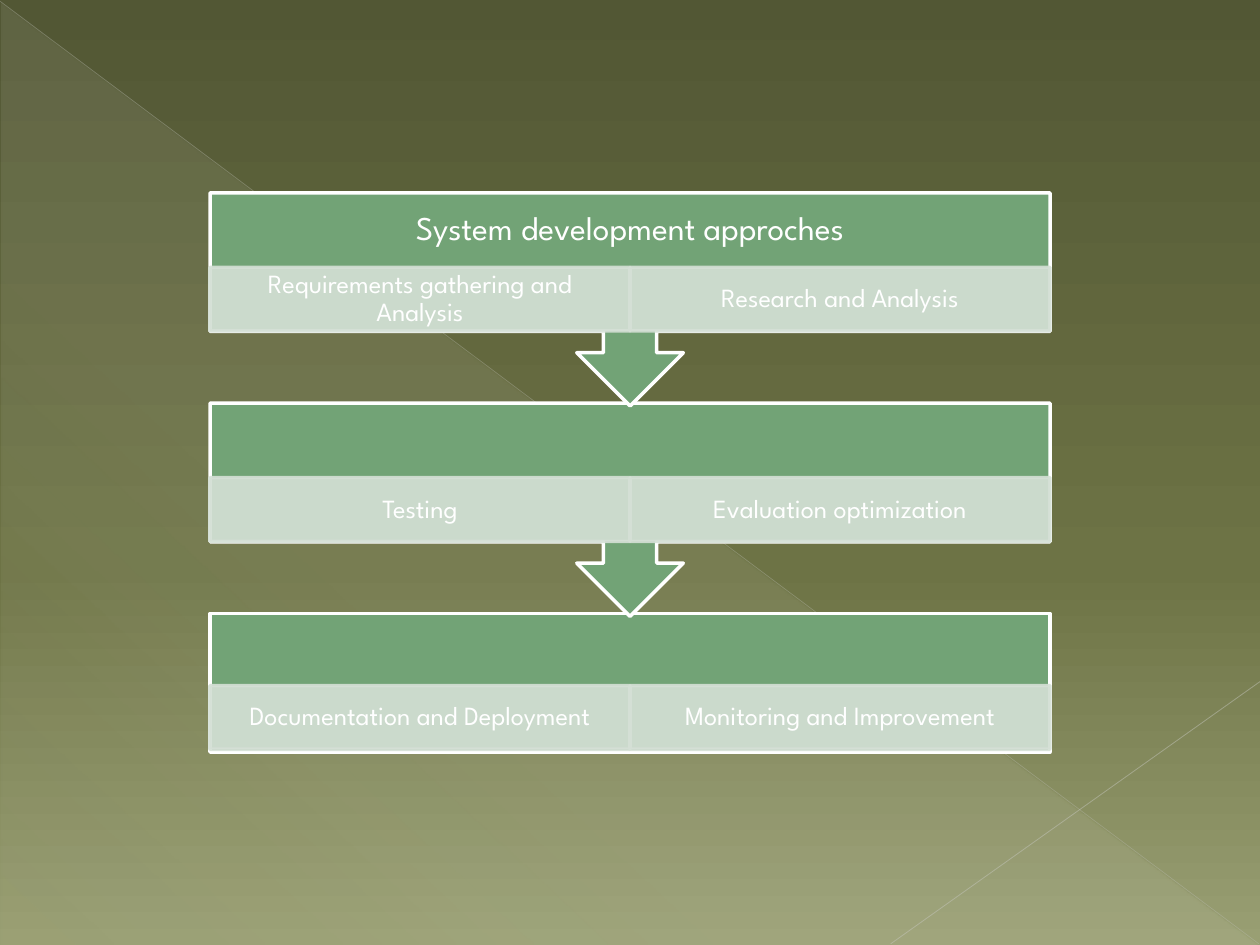
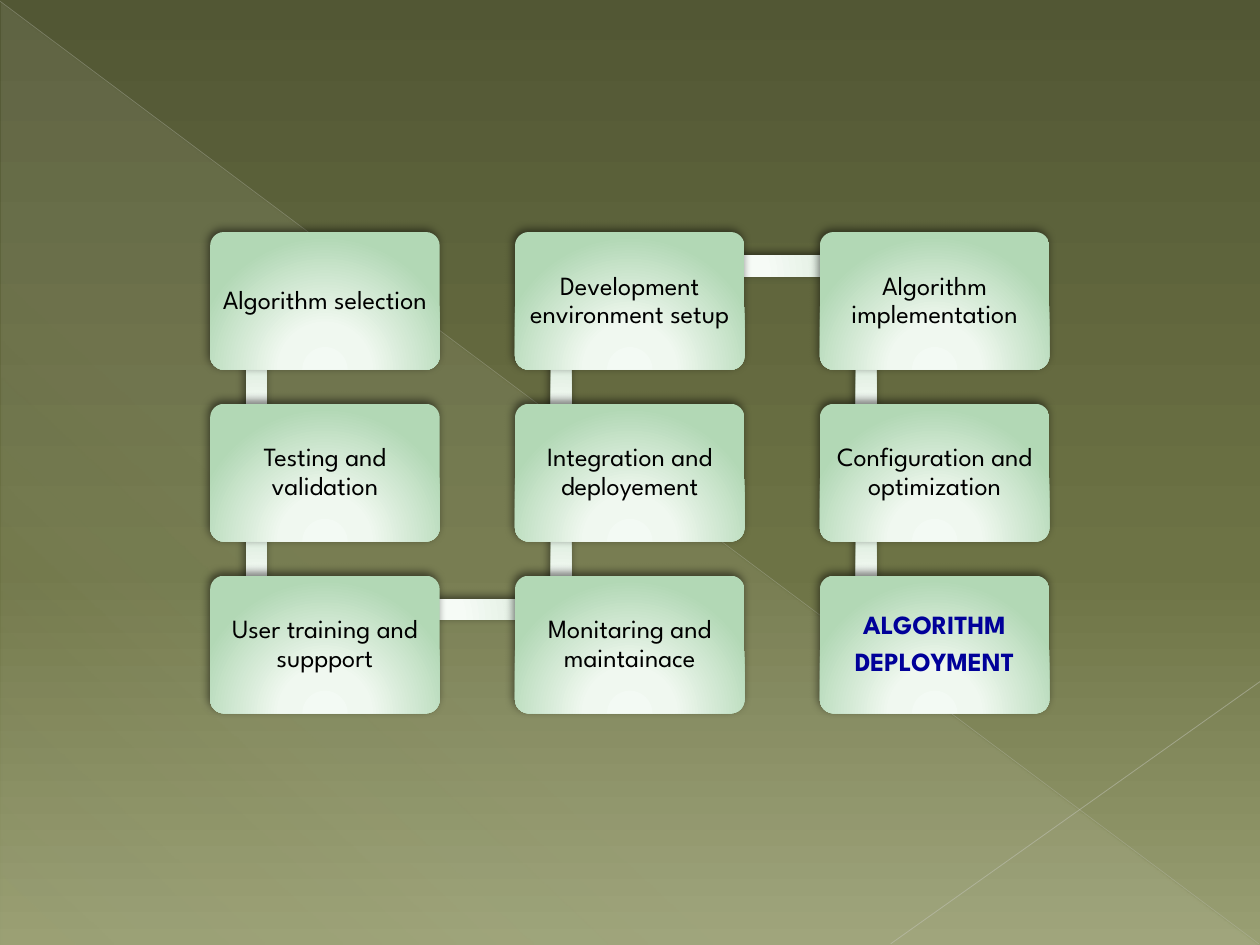
from dataclasses import dataclass
from math import atan2, degrees, hypot

from lxml import etree
from pptx import Presentation
from pptx.dml.color import RGBColor
from pptx.enum import shapes, text
from pptx.oxml import ns, parse_xml
from pptx.util import Pt

KIND = shapes.MSO_SHAPE
LINEAR = '<a:lin ang="{}" scaled="0"/>'
GLOW = ('<a:path path="circle"><a:fillToRect l="50000" t="155000" '
        'r="50000" b="-55000"/></a:path>')


@dataclass(frozen=True)
class Theme:
    font: str = "League Spartan"
    head: int = 19
    body: int = 15
    white: str = "FFFFFF"
    black: str = "000000"
    navy: str = "000099"
    green: str = "72A376"
    pale: str = "D5E0D6"
    ground: tuple = ((0, "525734", 100), (60, "6D7345", 100), (100, "999F73", 100))
    sheen: tuple = ((0, "EAEBDE", 10), (70, "EAEBDE", 8), (100, "EAEBDE", 1))
    card: tuple = ((0, "F3FAF4", 100), (34, "F0F8F0", 100), (100, "B2D8B5", 100))
    link: tuple = ((0, "F8FCF8", 100), (34, "F6FBF6", 100), (100, "D5E8D6", 100))
    # start x, start y, end x, end y, colour, width, opacity
    rays: tuple = ((0, 0.7, 719.3, 539.3, "C1C3B9", 0.39, 35),
                   (720, 389.5, 509, 539.3, "C8C9C1", 0.47, 45))


def fade(props, alpha):
    """Set the opacity, in percent, of every colour below props."""
    for clr in props.iter(ns.qn("a:srgbClr")):
        etree.SubElement(clr, ns.qn("a:alpha")).set("val", str(alpha * 1000))


def blend(fill, root, stops, way):
    """Give fill, the only gradient below root, these stops and direction."""
    fill.gradient()
    old = next(root.iter(ns.qn("a:gradFill")))
    marks = "".join(
        f'<a:gs pos="{pos * 1000}"><a:srgbClr val="{clr}">'
        f'<a:alpha val="{alpha * 1000}"/></a:srgbClr></a:gs>'
        for pos, clr, alpha in stops)
    new = parse_xml(f'<a:gradFill {ns.nsdecls("a")} rotWithShape="1">'
                    f'<a:gsLst>{marks}</a:gsLst>{way}</a:gradFill>')
    old.getparent().replace(old, new)


class Deck:
    def __init__(self, theme):
        self.theme = theme
        self.prs = Presentation()
        self.prs.slide_width, self.prs.slide_height = Pt(720), Pt(540)
        self.slide = None

    def page(self):
        """Start a slide with the shared ground, sheen and rays."""
        self.slide = self.prs.slides.add_slide(self.prs.slide_layouts[6])
        blend(self.slide.background.fill, self.slide.element,
              self.theme.ground, LINEAR.format(90 * 60000))
        self.glow(KIND.RIGHT_TRIANGLE, (0.7, 1.4, 718.6, 538.6),
                  self.theme.sheen, LINEAR.format(133 * 60000))
        for ray in self.theme.rays:
            self.ray(*ray)

    def ray(self, x1, y1, x2, y2, clr, width, alpha):
        line = self.slide.shapes.add_connector(
            shapes.MSO_CONNECTOR.STRAIGHT, Pt(x1), Pt(y1), Pt(x2), Pt(y2))
        line.line.color.rgb = RGBColor.from_string(clr)
        line.line.width = Pt(width)
        props = line._element.spPr
        fade(props, alpha)
        etree.SubElement(props, ns.qn("a:effectLst"))

    def shape(self, kind, box):
        item = self.slide.shapes.add_shape(kind, *map(Pt, box))
        item.shadow.inherit = False
        return item

    def block(self, kind, box, fill, line, alpha=None):
        """Add a plain shape with a 2 point outline."""
        item = self.shape(kind, box)
        item.fill.solid()
        item.fill.fore_color.rgb = RGBColor.from_string(fill)
        item.line.color.rgb = RGBColor.from_string(line)
        item.line.width = Pt(2)
        if alpha:
            fade(item._element.spPr, alpha)
        return item

    def glow(self, kind, box, stops, way=GLOW):
        """Add a shape with a gradient and no outline."""
        item = self.shape(kind, box)
        item.line.fill.background()
        blend(item.fill, item._element, stops, way)
        return item

    def shade(self, item):
        """Cast a soft shadow."""
        effect = item._element.spPr.find(ns.qn("a:effectLst"))
        effect.append(parse_xml(
            f'<a:outerShdw {ns.nsdecls("a")} blurRad="{Pt(5)}" dist="{Pt(2)}" '
            f'dir="{245 * 60000}" algn="tl" rotWithShape="0">'
            f'<a:srgbClr val="{self.theme.black}"><a:alpha val="50000"/>'
            '</a:srgbClr></a:outerShdw>'))

    def letter(self, item, words, size, clr, pad, bold=False):
        """Put centred words in item; pad is the side and the top inset."""
        frame = item.text_frame
        frame.word_wrap = True
        frame.vertical_anchor = text.MSO_ANCHOR.MIDDLE
        frame.margin_left = frame.margin_right = Pt(pad[0])
        frame.margin_top = frame.margin_bottom = Pt(pad[1])
        frame.text = words
        for para in frame.paragraphs:
            para.alignment = text.PP_ALIGN.CENTER
            para.line_spacing = 0.9
            para.space_after = Pt(0.35 * size)
            for run in para.runs:
                run.font.name = self.theme.font
                run.font.size = Pt(size)
                run.font.bold = bold
                run.font.color.rgb = RGBColor.from_string(clr)

    def label(self, box, words, size, clr, pad):
        item = self.slide.shapes.add_textbox(*map(Pt, box))
        self.letter(item, words, size, clr, pad)


def stages(deck):
    """Three stages from top to bottom, each with two steps."""
    look = deck.theme
    left, top, width, pitch = 120, 110.2, 480, 120.2
    steps = (("Requirements gathering and Analysis", "Research and Analysis"),
             ("Testing", "Evaluation optimization"),
             ("Documentation and Deployment", "Monitoring and Improvement"))
    deck.page()
    for row in reversed(range(len(steps))):
        y = top + row * pitch
        if row == len(steps) - 1:
            deck.block(KIND.RECTANGLE, (left, y, width, 79.2), look.green, look.white)
            drop = 41.2
        else:
            stage = deck.block(KIND.UP_ARROW_CALLOUT, (left, y, width, 121.8),
                               look.green, look.white)
            stage.rotation = 180
            drop = 42.6
        if row == 0:
            deck.label((left, y, width, drop), "System development approches",
                       look.head, look.white, (10.8, 10.8))
        for col, words in enumerate(steps[row]):
            box = (left + col * width / 2, y + drop, width / 2, 36.4)
            cell = deck.block(KIND.RECTANGLE, box, look.pale, look.pale, 90)
            deck.letter(cell, words, look.body, look.white, (8.6, 1.4))


def snake(deck):
    """Cards that run down, up and down again, joined by links."""
    look = deck.theme
    cols = (("Algorithm selection", "Testing and validation",
             "User training and suppport"),
            ("Monitaring and maintainace", "Integration and deployement",
             "Development environment setup"),
            ("Algorithm implementation", "Configuration and optimization",
             "ALGORITHM\nDEPLOYMENT"))
    cards = [(120.1 + 174.2 * col, 132.6 + 98.2 * (2 - row if col % 2 else row), words)
             for col, names in enumerate(cols) for row, words in enumerate(names)]
    deck.page()
    for spot, (x, y, words) in enumerate(cards):
        last = spot == len(cards) - 1
        if not last:
            dx, dy = cards[spot + 1][0] - x, cards[spot + 1][1] - y
            span, thick = hypot(dx, dy) - 1, 11.8
            mid = x + 26.4 + dx / 2, y + 19.4 + dy / 2
            link = deck.glow(KIND.RECTANGLE, (mid[0] - span / 2, mid[1] - thick / 2,
                                              span, thick), look.link)
            link.rotation = degrees(atan2(dy, dx)) % 360
            deck.shade(link)
        card = deck.glow(KIND.ROUNDED_RECTANGLE, (x, y, 131.2, 78.7), look.card)
        card.adjustments[0] = 0.1
        deck.shade(card)
        deck.letter(card, words, look.body, look.navy if last else look.black,
                    (4, 4), last)


def main():
    deck = Deck(Theme())
    stages(deck)
    snake(deck)
    deck.prs.save("out.pptx")


if __name__ == "__main__":
    main()
